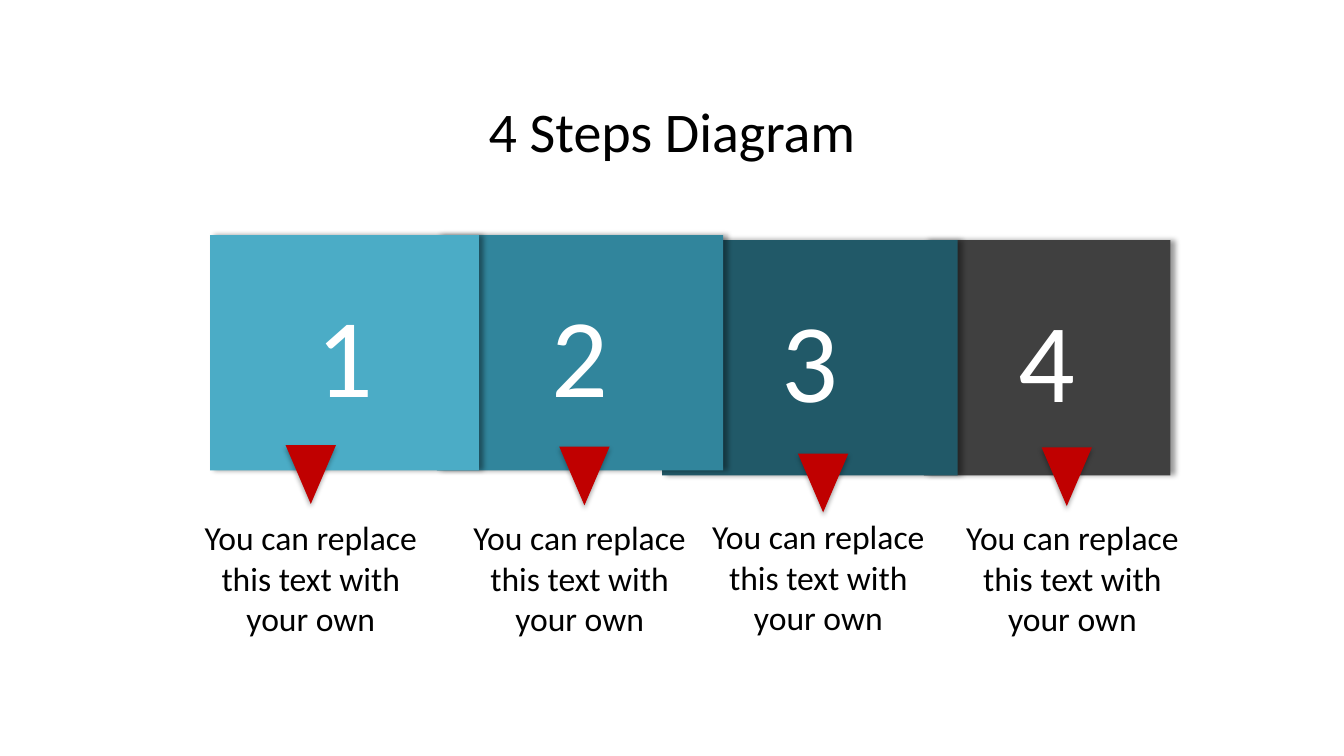
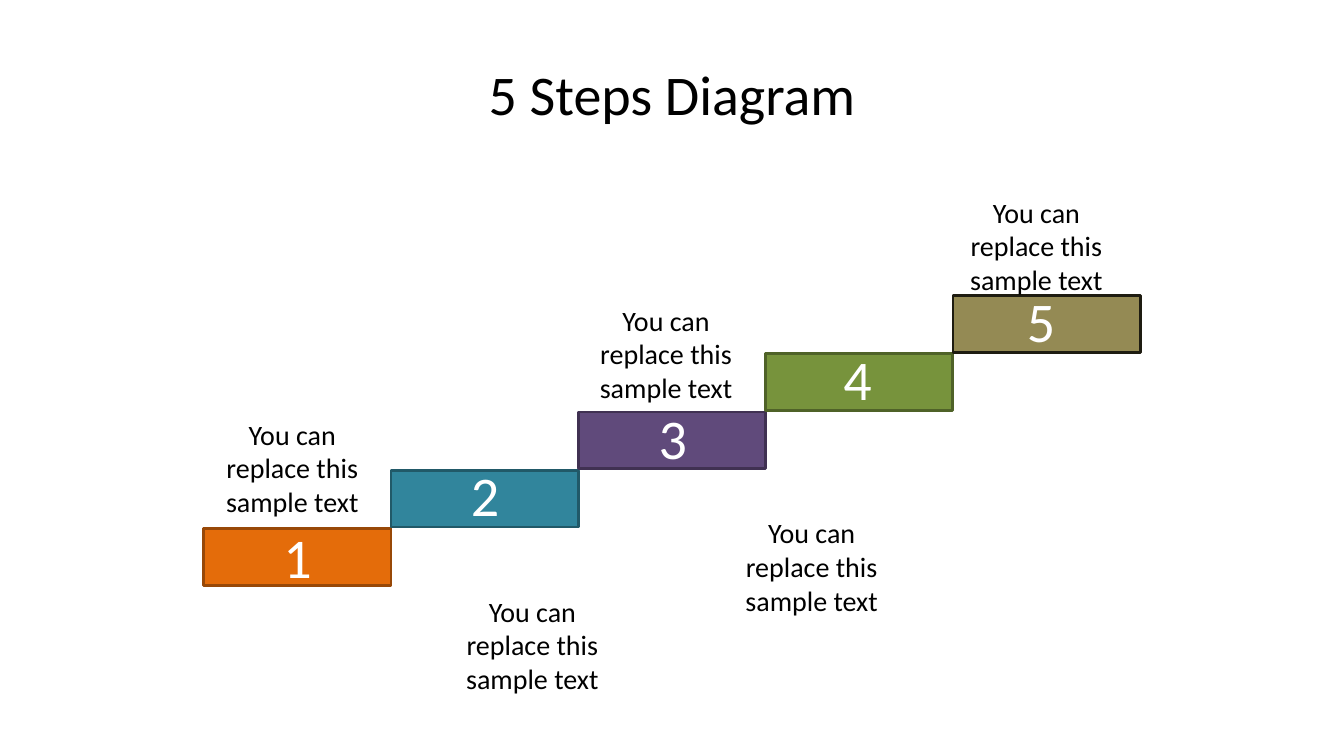
from lxml.etree import SubElement
from pptx import Presentation
from pptx.dml.color import RGBColor
from pptx.enum.shapes import MSO_SHAPE
from pptx.enum.text import MSO_ANCHOR, PP_ALIGN
from pptx.oxml.ns import qn
from pptx.util import Pt

HUES = {
    "black": "000000", "white": "FFFFFF", "red": "C00000",
    "aqua": "4BACC6", "teal": "31859C", "deep": "215968", "gray": "404040",
    "orange": "E46C0A", "rust": "984807", "purple": "604A7B", "plum": "403152",
    "green": "77933C", "moss": "4F6228", "tan": "948A54", "dark": "1E1C11",
}
FONT = "Calibri"


def write(shape, text, size, hue="black", anchor=MSO_ANCHOR.TOP, wrap=True):
    frame = shape.text_frame
    frame.word_wrap = wrap
    frame.vertical_anchor = anchor
    para = frame.paragraphs[0]
    para.alignment = PP_ALIGN.CENTER
    run = para.add_run()
    run.text = text
    run.font.name = FONT
    run.font.size = Pt(size)
    run.font.color.rgb = RGBColor.from_string(HUES[hue])


def block(slide, kind, box, fill, edge=None, shade=None):
    """Add a filled shape; shade is (opacity %, blur, distance, angle)."""
    shape = slide.shapes.add_shape(kind, *map(Pt, box))
    shape.shadow.inherit = False
    shape.fill.solid()
    shape.fill.fore_color.rgb = RGBColor.from_string(HUES[fill])
    if edge:
        shape.line.color.rgb = RGBColor.from_string(HUES[edge])
        shape.line.width = Pt(2)
    else:
        shape.line.fill.background()
    if shade:
        alpha, blur, dist, angle = shade
        effects = shape._element.spPr.find(qn("a:effectLst"))
        outer = SubElement(effects, qn("a:outerShdw"), blurRad=str(Pt(blur)),
                           dist=str(Pt(dist)), dir=str(angle * 60000),
                           rotWithShape="0")
        color = SubElement(outer, qn("a:srgbClr"), val=HUES["black"])
        SubElement(color, qn("a:alpha"), val=str(alpha * 1000))
    return shape


deck = Presentation()
deck.slide_width, deck.slide_height = Pt(960), Pt(540)

# Titles
slides = []
for text, box in [("4 Steps Diagram", (156, 48, 648, 90)),
                  ("5 Steps Diagram", (48, 21.5, 864, 90))]:
    slide = deck.slides.add_slide(deck.slide_layouts[5])
    title = slide.shapes.title
    title.left, title.top, title.width, title.height = map(Pt, box)
    write(title, text, 40, anchor=MSO_ANCHOR.MIDDLE)
    slides.append(slide)
four, five = slides

# Four overlapping panels, the last one at the back
panels = [(150, 168, 192, "aqua"), (312, 168, 204.5, "teal"),
          (473, 171.5, 211, "deep"), (660, 171.5, 176, "gray")]
for num, (left, top, width, hue) in reversed(list(enumerate(panels, 1))):
    panel = block(four, MSO_SHAPE.RECTANGLE, (left, top, width, 168), hue,
                  shade=(40, 4, 3, 0))
    write(panel, str(num), 80, "white", MSO_ANCHOR.MIDDLE)

for left, top in [(204, 318), (399.5, 319), (570, 324), (744, 319.5)]:
    block(four, MSO_SHAPE.FLOWCHART_MERGE, (left, top, 36, 42), "red",
          shade=(32, 3.5, 2.2, 90))

for left, top in [(138, 366), (330, 366), (500.5, 365.3), (682, 366)]:
    note = four.shapes.add_textbox(Pt(left), Pt(top), Pt(168), Pt(94.5))
    write(note, "You can replace this text with your own", 24)

# Five rising steps: fill, edge, place of number, place of note
steps = [
    ("orange", "rust", (195, 369.5), (139, 294.5)),
    ("teal", "deep", (329, 325.5), (310.5, 421)),
    ("purple", "plum", (463, 284.5), (406, 213)),
    ("green", "moss", (595, 242.5), (510, 365)),
    ("tan", "dark", (726, 201.5), (670.5, 136)),
]
wide, rise = 133.8, 41.6
for i, (fill, edge, spot, place) in enumerate(steps):
    block(five, MSO_SHAPE.RECTANGLE,
          (145.5 + i * wide, 377.5 - i * rise, wide, 40.6), fill, edge)
    digit = five.shapes.add_textbox(*map(Pt, (*spot, 35, 55.5)))
    write(digit, str(i + 1), 40, "white", wrap=False)
    note = five.shapes.add_textbox(*map(Pt, (*place, 139.5, 80)))
    write(note, "You can replace this sample text", 20)

deck.save("out.pptx")
